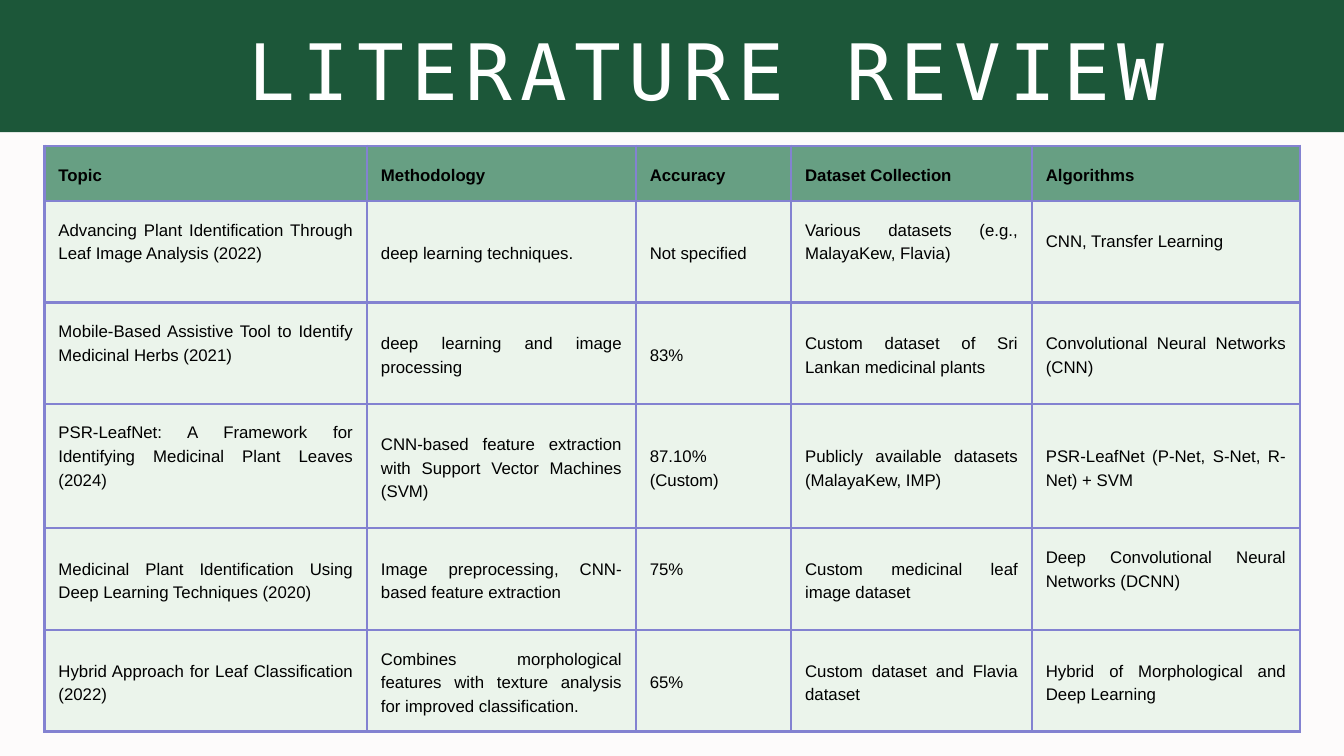
from dataclasses import astuple, dataclass

from lxml.etree import SubElement
from pptx import Presentation
from pptx.dml.color import RGBColor
from pptx.enum.shapes import MSO_SHAPE as Shape
from pptx.enum.text import MSO_ANCHOR as Anchor, PP_ALIGN as Align
from pptx.oxml.ns import qn
from pptx.util import Cm, Pt

BACKGROUND = "FDFBFB"
BAND_GREEN = "1C5739"
HEADER_GREEN = "679F83"
CELL_GREEN = "EBF4EB"
BORDER_PURPLE = "8382D1"
WHITE = "FFFFFF"
BLACK = "000000"

COLUMN_WIDTHS = (12.19, 10.16, 5.87, 9.1, 10.13)
ROW_HEIGHTS = (2.08, 3.84, 3.84, 4.7, 3.84, 3.84)
CELL_MARGIN = 0.53
LINE_HEIGHT = 0.89


@dataclass
class Study:
    topic: str
    methodology: str
    accuracy: str
    dataset: str
    algorithms: str


HEADER = Study("Topic", "Methodology", "Accuracy", "Dataset Collection", "Algorithms")
STUDIES = (
    Study("Advancing Plant Identification Through Leaf Image Analysis (2022)",
          "deep learning techniques.",
          "Not specified",
          "Various datasets (e.g., MalayaKew, Flavia)",
          "CNN, Transfer Learning"),
    Study("Mobile-Based Assistive Tool to Identify Medicinal Herbs (2021)",
          "deep learning and image processing",
          "83%",
          "Custom dataset of Sri Lankan medicinal plants",
          "Convolutional Neural Networks (CNN)"),
    Study("PSR-LeafNet: A Framework for Identifying Medicinal Plant Leaves (2024)",
          "CNN-based feature extraction with Support Vector Machines (SVM)",
          "87.10% (Custom)",
          "Publicly available datasets (MalayaKew, IMP)",
          "PSR-LeafNet (P-Net, S-Net, R-Net) + SVM"),
    Study("Medicinal Plant Identification Using Deep Learning Techniques (2020)",
          "Image preprocessing, CNN-based feature extraction",
          "75%",
          "Custom medicinal leaf image dataset",
          "Deep Convolutional Neural Networks (DCNN)"),
    Study("Hybrid Approach for Leaf Classification (2022)",
          "Combines morphological features with texture analysis for improved classification.",
          "65%",
          "Custom dataset and Flavia dataset",
          "Hybrid of Morphological and Deep Learning"),
)
# (row, column) of the cells whose text sits half a line above the middle
RAISED_CELLS = {(1, 0), (1, 3), (1, 4), (2, 0), (3, 0), (4, 2), (4, 4)}


def paint(fill, color: str) -> None:
    fill.solid()
    fill.fore_color.rgb = RGBColor.from_string(color)


def style_text(para, font: str, size: float, color: str, bold: bool = False) -> None:
    for span in para.runs:
        span.font.name = font
        span.font.size = Pt(size)
        span.font.bold = bold
        span.font.color.rgb = RGBColor.from_string(color)


def add_borders(cell, color: str, width: float) -> None:
    properties = cell._tc.get_or_add_tcPr()
    for side in ("a:lnL", "a:lnR", "a:lnT", "a:lnB"):
        line = SubElement(properties, qn(side), w=str(Pt(width)))
        SubElement(SubElement(line, qn("a:solidFill")), qn("a:srgbClr"), val=color)


def fill_cell(cell, text: str, is_header: bool, is_raised: bool) -> None:
    cell.text_frame.text = text
    cell.vertical_anchor = Anchor.MIDDLE
    cell.margin_left = cell.margin_right = cell.margin_top = Cm(CELL_MARGIN)
    cell.margin_bottom = Cm(CELL_MARGIN + LINE_HEIGHT * is_raised)
    add_borders(cell, BORDER_PURPLE, 3)
    paint(cell.fill, HEADER_GREEN if is_header else CELL_GREEN)
    para = cell.text_frame.paragraphs[0]
    para.alignment = Align.JUSTIFY
    para.line_spacing = Pt(25.2)
    style_text(para, "Arial", 18, BLACK, bold=is_header)


def add_title(page, text: str) -> None:
    band = page.shapes.add_shape(Shape.RECTANGLE, Cm(0), Cm(0), Cm(50.8), Cm(5))
    band.shadow.inherit = False
    paint(band.fill, BAND_GREEN)
    band.line.fill.background()

    box = page.shapes.add_textbox(Cm(9.22), Cm(0.33), Cm(35.03), Cm(4.29))
    frame = box.text_frame
    frame.margin_left = frame.margin_right = frame.margin_top = frame.margin_bottom = Cm(0)
    frame.word_wrap = False
    frame.text = text
    para = frame.paragraphs[0]
    para.alignment = Align.CENTER
    para.line_spacing = Pt(115)
    style_text(para, "DejaVu Sans Mono", 83.3, WHITE)
    for span in para.runs:
        span.font._element.set("spc", "820")


def add_review_table(page) -> None:
    rows = (HEADER, *STUDIES)
    table = page.shapes.add_table(
        len(rows), len(COLUMN_WIDTHS), Cm(1.68), Cm(5.51),
        Cm(sum(COLUMN_WIDTHS)), Cm(sum(ROW_HEIGHTS))).table
    for column, width in zip(table.columns, COLUMN_WIDTHS):
        column.width = Cm(width)
    for row, height in zip(table.rows, ROW_HEIGHTS):
        row.height = Cm(height)
    for r, study in enumerate(rows):
        for c, text in enumerate(astuple(study)):
            fill_cell(table.cell(r, c), text, r == 0, (r, c) in RAISED_CELLS)


def main() -> None:
    deck = Presentation()
    deck.slide_width, deck.slide_height = Cm(50.8), Cm(28.58)
    page = deck.slides.add_slide(deck.slide_layouts[6])
    paint(page.background.fill, BACKGROUND)
    add_title(page, "LITERATURE REVIEW")
    add_review_table(page)
    deck.save("out.pptx")


if __name__ == "__main__":
    main()
